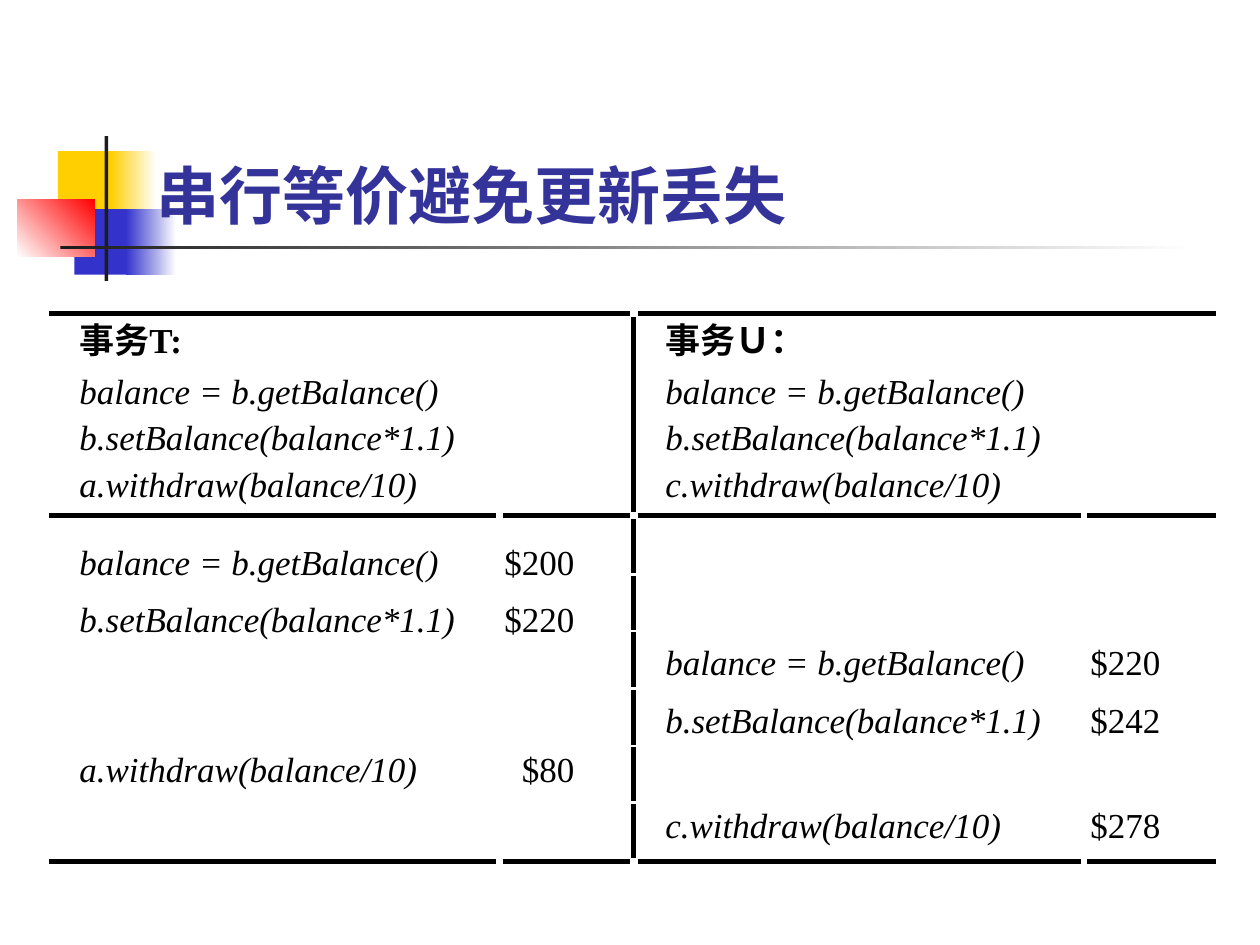
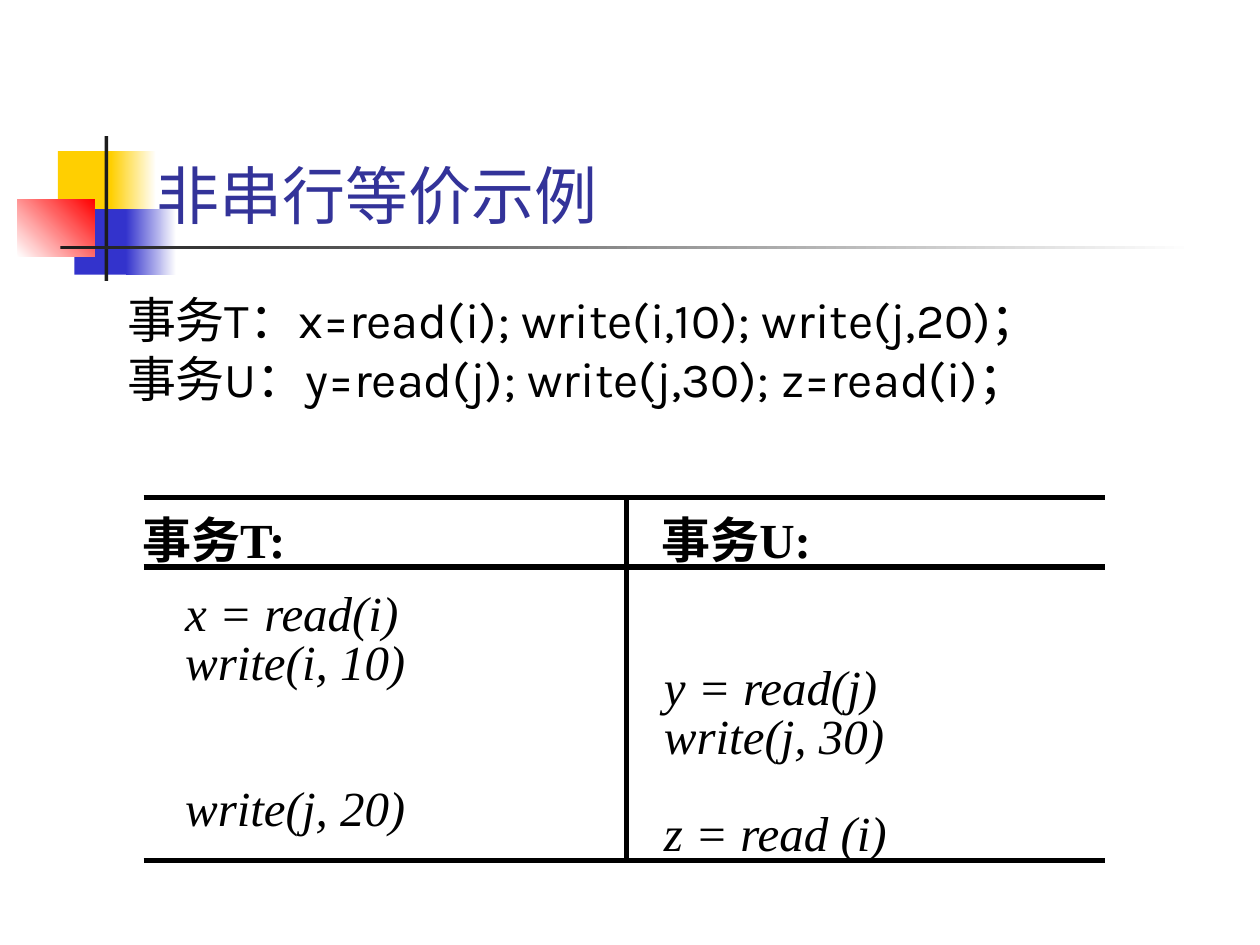
"""Builds two slides on serial equivalence of the transactions T and U."""
from dataclasses import dataclass
from typing import Optional

import pptx
import pptx.dml.color
import pptx.enum.shapes
import pptx.enum.text
import pptx.oxml.ns
import pptx.slide
import pptx.text.text
import pptx.util
from lxml import etree

Inches = pptx.util.Inches
Align = pptx.enum.text.PP_ALIGN
Anchor = pptx.enum.text.MSO_ANCHOR


@dataclass(frozen=True)
class Theme:
    ink: str = "000000"
    title: str = "333399"
    paper: str = "FFFFFF"
    yellow: str = "FFCF01"
    blue: str = "3333CC"
    red: str = "FF0000"
    bar: str = "1C1C1C"
    serif: str = "Times New Roman"
    sans: str = "Karla"
    chinese: str = "Noto Sans CJK JP"
    title_size: int = 36
    large: int = 28
    small: int = 20


THEME = Theme()


@dataclass(frozen=True)
class Style:
    size: int
    font: str = THEME.serif
    color: str = THEME.ink
    bold: bool = False
    italic: bool = False
    align: Align = Align.LEFT


@dataclass(frozen=True)
class Block:
    left: float
    top: float
    width: float
    height: float
    start: str
    end: Optional[str] = None
    angle: float = 0


@dataclass(frozen=True)
class Rule:
    x1: float
    y1: float
    x2: float
    y2: float


@dataclass(frozen=True)
class Step:
    column: int
    top: float
    operation: str
    amount: str = ""


MOTIF = (
    Block(0.46, 1.2, 0.48, 0.52, THEME.yellow),
    Block(0.88, 1.2, 0.36, 0.52, THEME.yellow, THEME.paper),
    Block(0.59, 1.66, 0.46, 0.52, THEME.blue),
    Block(1, 1.66, 0.4, 0.52, THEME.blue, THEME.paper),
    Block(0.14, 1.58, 0.61, 0.46, THEME.paper, THEME.red, 45),
    Block(0.83, 1.08, 0.03, 1.15, THEME.bar),
    Block(0.48, 1.95, 9, 0.03, THEME.bar, THEME.paper),
)

READ, UPDATE = "balance = b.getBalance()", "b.setBalance(balance*1.1)"
WITHDRAWALS = ("a.withdraw(balance/10)", "c.withdraw(balance/10)")
BANK_STEPS = (
    Step(0, 4.29, READ, "$200"),
    Step(0, 4.74, UPDATE, "$220"),
    Step(1, 5.08, READ, "$220"),
    Step(1, 5.54, UPDATE, "$242"),
    Step(0, 5.93, WITHDRAWALS[0], "$80"),
    Step(1, 6.38, WITHDRAWALS[1], "$278"),
)
READ_WRITE_STEPS = (
    Step(0, 4.62, "x = read(i)"),
    Step(0, 5.01, "write(i, 10)"),
    Step(1, 5.21, "y = read(j)"),
    Step(1, 5.6, "write(j, 30)"),
    Step(0, 6.17, "write(j, 20)"),
    Step(1, 6.37, "z = read (i)"),
)


def rgb(color: str) -> pptx.dml.color.RGBColor:
    return pptx.dml.color.RGBColor.from_string(color)


def style_paragraph(paragraph: pptx.text.text._Paragraph, style: Style) -> None:
    paragraph.alignment = style.align
    font = paragraph.font
    font.size, font.name = pptx.util.Pt(style.size), style.font
    font.bold, font.italic = style.bold, style.italic
    font.color.rgb = rgb(style.color)
    qn = pptx.oxml.ns.qn
    defaults = paragraph._p.pPr.find(qn("a:defRPr"))
    etree.SubElement(defaults, qn("a:ea")).set("typeface", THEME.chinese)


def add_text(slide: pptx.slide.Slide, left: float, top: float, width: float, height: float,
             lines: tuple[str, ...], style: Style, inset: bool = False,
             anchor: Anchor = Anchor.TOP) -> None:
    frame = slide.shapes.add_textbox(
        Inches(left), Inches(top), Inches(width), Inches(height)).text_frame
    frame.word_wrap, frame.vertical_anchor = True, anchor
    if not inset:
        frame.margin_left = frame.margin_right = frame.margin_top = frame.margin_bottom = 0
    frame.text = "\n".join(lines)
    for paragraph in frame.paragraphs:
        style_paragraph(paragraph, style)


def add_block(slide: pptx.slide.Slide, block: Block) -> None:
    shape = slide.shapes.add_shape(
        pptx.enum.shapes.MSO_SHAPE.RECTANGLE, Inches(block.left), Inches(block.top),
        Inches(block.width), Inches(block.height))
    shape.shadow.inherit = False
    shape.line.fill.background()
    if block.end is None:
        shape.fill.solid()
        shape.fill.fore_color.rgb = rgb(block.start)
    else:
        shape.fill.gradient()
        shape.fill.gradient_angle = block.angle
        for stop, color in zip(shape.fill.gradient_stops, (block.start, block.end)):
            stop.color.rgb = rgb(color)


def add_rule(slide: pptx.slide.Slide, rule: Rule, weight: float) -> None:
    line = slide.shapes.add_connector(
        pptx.enum.shapes.MSO_CONNECTOR.STRAIGHT, Inches(rule.x1), Inches(rule.y1),
        Inches(rule.x2), Inches(rule.y2))
    line.line.color.rgb = rgb(THEME.ink)
    line.line.width = pptx.util.Pt(weight)
    etree.SubElement(line._element.spPr, pptx.oxml.ns.qn("a:effectLst"))


def add_titled_slide(deck: pptx.presentation.Presentation, title: str, font: str,
                     bold: bool) -> pptx.slide.Slide:
    slide = deck.slides.add_slide(deck.slide_layouts[6])
    for block in MOTIF:
        add_block(slide, block)
    add_text(slide, 1.14, 0.91, 7.4, 0.98, (title,),
             Style(THEME.title_size, font, THEME.title, bold), True, Anchor.BOTTOM)
    return slide


def build_bank_slide(deck: pptx.presentation.Presentation) -> None:
    slide = add_titled_slide(deck, "串行等价避免更新丢失", THEME.chinese, True)
    columns = (0.63, 5.28)
    heading = Style(THEME.small, bold=True)
    operation = Style(THEME.small, italic=True)
    amount = Style(THEME.small, align=Align.RIGHT)
    for left, name, withdrawal in zip(columns, ("事务T:", "事务Ｕ："), WITHDRAWALS):
        add_text(slide, left, 2.53, 1.2, 0.33, (name,), heading)
        for row, text in enumerate((READ, UPDATE, withdrawal)):
            add_text(slide, left, 2.93 + 0.37 * row, 3.05, 0.33, (text,), operation)
    for step in BANK_STEPS:
        left = columns[step.column]
        add_text(slide, left, step.top, 3.05, 0.33, (step.operation,), operation)
        add_text(slide, left + 3.33, step.top, 0.6, 0.33, (step.amount,), amount)

    halves = ((0.39, 5), (5.06, 9.65))
    quarters = ((0.39, 3.94), (3.99, 5), (5.06, 8.58), (8.63, 9.65))
    rules = [Rule(x1, y, x2, y)
             for y, spans in ((2.49, halves), (4.09, quarters), (6.84, quarters))
             for x1, x2 in spans]
    rules.append(Rule(5.03, 2.52, 5.03, 4.06))
    for row in range(6):
        top = 4.12 + 0.452 * row
        rules.append(Rule(5.03, round(top, 2), 5.03, round(top + 0.43, 2)))
    for rule in rules:
        add_rule(slide, rule, 2.86)


def build_read_write_slide(deck: pptx.presentation.Presentation) -> None:
    slide = add_titled_slide(deck, "非串行等价示例", THEME.sans, False)
    for left, name in ((1.13, "事务T:"), (5.25, "事务U:")):
        add_text(slide, left, 4.04, 1.5, 0.47, (name,), Style(THEME.large, bold=True))
    for step in READ_WRITE_STEPS:
        add_text(slide, (1.47, 5.27)[step.column], step.top, 1.9, 0.47,
                 (step.operation,), Style(THEME.large, italic=True))
    for y in (3.95, 4.5, 6.83):
        add_rule(slide, Rule(1.14, y, 8.77, y), 3)
    add_rule(slide, Rule(4.97, 3.95, 4.97, 6.83), 3)
    add_text(slide, 0.91, 2.25, 8.35, 1.5,
             ("事务T：x=read(i); write(i,10); write(j,20)；",
              "事务U：y=read(j); write(j,30); z=read(i)；"),
             Style(THEME.large, THEME.sans), True)


def main() -> None:
    deck = pptx.Presentation()
    deck.slide_width, deck.slide_height = Inches(10), Inches(7.5)
    build_bank_slide(deck)
    build_read_write_slide(deck)
    deck.save("out.pptx")


if __name__ == "__main__":
    main()
